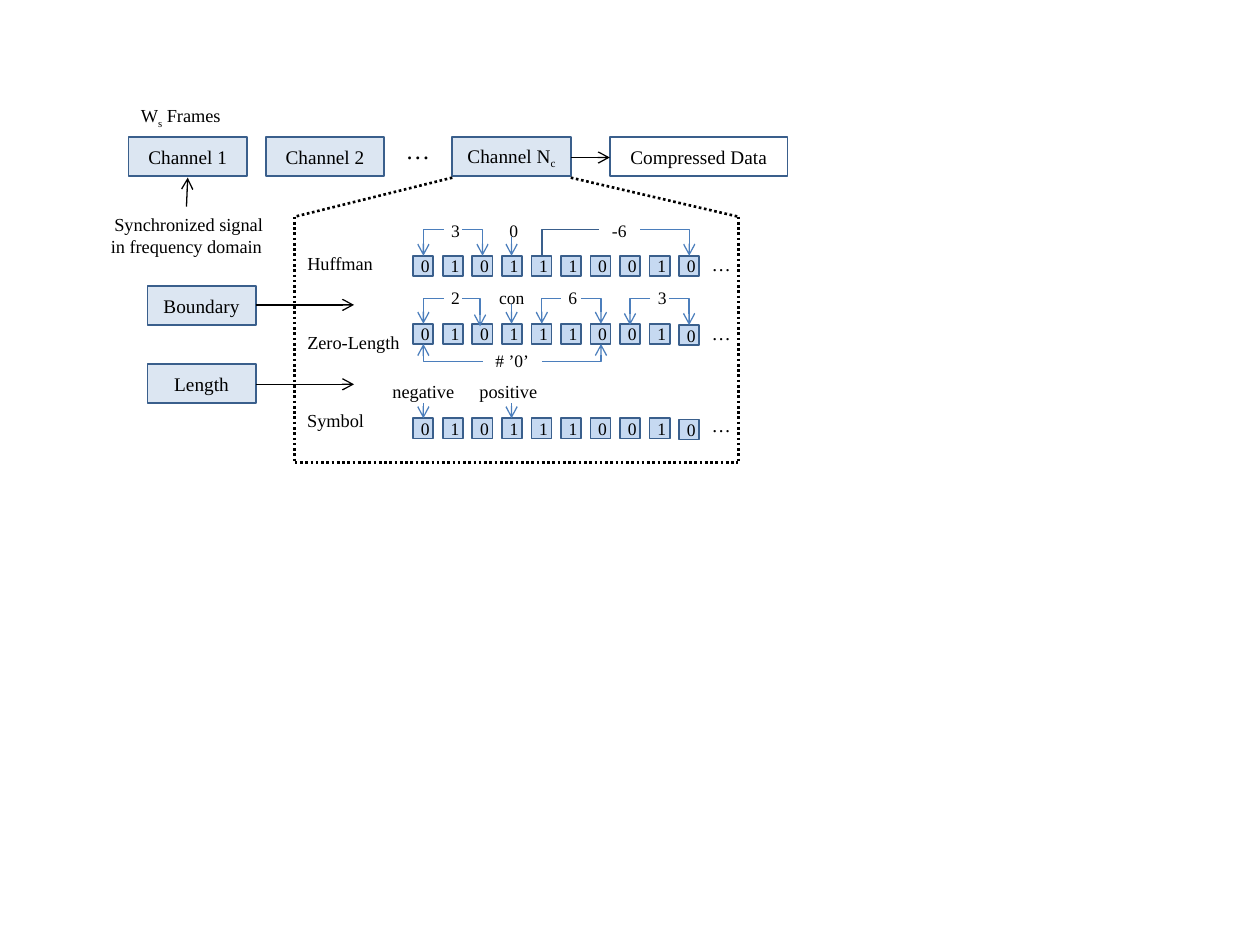
"""Build a slide on channel compression with Huffman, zero-length and symbol bit rows."""
import pptx
import pptx.util
import pptx.dml.color
import pptx.enum.dml
import pptx.enum.shapes
import pptx.enum.text
import pptx.oxml.ns
import lxml.etree

Inches = pptx.util.Inches
Pt = pptx.util.Pt
RGBColor = pptx.dml.color.RGBColor
ALIGN = pptx.enum.text.PP_ALIGN
qn = pptx.oxml.ns.qn

BLACK = RGBColor(0x00, 0x00, 0x00)
BORDER = RGBColor(0x3A, 0x5F, 0x8C)
LINK = RGBColor(0x4B, 0x7E, 0xBC)
PALE = RGBColor(0xDC, 0xE6, 0xF2)
CELL = RGBColor(0xC6, 0xD9, 0xF1)
FONT = "Times New Roman"

# Every second part of a label is a subscript.
BOXES = [
    (("Channel 1",), 1.02, 1.09, 0.94, PALE),
    (("Channel 2",), 2.11, 1.09, 0.94, PALE),
    (("Channel N", "c"), 3.59, 1.09, 0.94, PALE),
    (("Compressed Data",), 4.84, 1.09, 1.41, None),
    (("Boundary",), 1.17, 2.27, 0.86, PALE),
    (("Length",), 1.17, 2.89, 0.86, PALE),
]
BOX_HEIGHT = 0.31

BITS = "0101110010"
BIT_ROWS = [(2.03, 2.03), (2.57, 2.58), (3.32, 3.33)]
BIT_LEFT, BIT_LAST, BIT_SIZE = 3.28, 5.39, 0.16
BIT_STEP = (BIT_LAST - BIT_LEFT) / (len(BITS) - 1)

LEFT_LABELS = [
    (("W", "s", " Frames"), 1.02, 0.78, 0.94, 0.28, 10.5, True),
    (("…",), 3.12, 1.02, 0.39, 0.34, 14, True),
    (("Huffman",), 2.34, 1.95, 0.75, 0.28, 10.5, False),
    (("Zero-Length",), 2.34, 2.58, 0.98, 0.28, 10.5, False),
    (("Symbol",), 2.34, 3.2, 0.67, 0.28, 10.5, False),
    ((" 0",), 3.91, 1.7, 0.39, 0.28, 10, True),
    ((" con",), 3.83, 2.23, 0.47, 0.28, 10, True),
]
CENTER_LABELS = [
    ((" Synchronized signal in frequency domain",), 0.7, 1.64, 1.56, 0.45, 10.5, True),
    (("3",), 3.52, 1.7, 0.16, 0.28, 10, True),
    (("-6",), 4.75, 1.7, 0.33, 0.27, 10, False),
    (("2",), 3.52, 2.23, 0.16, 0.28, 10, True),
    (("6",), 4.45, 2.23, 0.16, 0.28, 10, True),
    (("3",), 5.16, 2.23, 0.16, 0.28, 10, True),
    (("# ’0’",), 3.83, 2.73, 0.47, 0.28, 10, True),
    (("negative",), 2.97, 2.97, 0.78, 0.28, 10.5, True),
    (("positive",), 3.67, 2.97, 0.73, 0.28, 10.5, True),
] + [(("…",), 5.55, top, 0.23, 0.29, 11, True) for top in (1.95, 2.5, 3.23)]

FLOW_ARROWS = [
    (1.48, 1.64, 1.49, 1.41), (4.53, 1.25, 4.84, 1.25),
    (2.03, 2.42, 2.81, 2.42), (2.03, 3.05, 2.81, 3.05),
]
BIT_ARROWS = [
    (4.06, 1.88, 4.06, 2.03), (4.06, 2.41, 4.06, 2.57),
    (3.36, 3.2, 3.36, 3.32), (4.06, 3.2, 4.06, 3.32),
]
BRACKETS = [
    (3.52, 1.82, 3.36, 2.03), (3.67, 1.82, 3.83, 2.03), (5.08, 1.82, 5.47, 2.03),
    (3.52, 2.37, 3.36, 2.57), (3.67, 2.37, 3.81, 2.59),
    (4.45, 2.37, 4.3, 2.57), (4.61, 2.37, 4.77, 2.57),
    (5.16, 2.37, 5, 2.58), (5.31, 2.37, 5.47, 2.58),
    (3.83, 2.87, 3.36, 2.73), (4.3, 2.87, 4.77, 2.73),
]
PLAIN_BRACKET = (4.75, 1.82, 4.3, 2.03)
FRAME = [
    (3.59, 1.41, 2.34, 1.72), (4.53, 1.41, 5.86, 1.72),
    (2.34, 1.72, 2.34, 3.67), (5.86, 1.72, 5.86, 3.67), (2.34, 3.67, 5.86, 3.67),
]


def write(tf, parts, size, align):
    p = tf.paragraphs[0]
    p.alignment = align
    for i, part in enumerate(parts):
        r = p.add_run()
        r.text = part
        r.font.name, r.font.size = FONT, Pt(size)
        r.font.color.rgb = BLACK
        if i % 2:
            r.font._element.set("baseline", "-25000")


def add_box(shapes, parts, left, top, width, height, fill, size):
    sp = shapes.add_shape(pptx.enum.shapes.MSO_SHAPE.RECTANGLE,
                          *map(Inches, (left, top, width, height)))
    sp.shadow.inherit = False
    if fill is None:
        sp.fill.background()
    else:
        sp.fill.solid()
        sp.fill.fore_color.rgb = fill
    sp.line.color.rgb, sp.line.width = BORDER, Pt(1)
    sp.text_frame.vertical_anchor = pptx.enum.text.MSO_ANCHOR.MIDDLE
    write(sp.text_frame, parts, size, ALIGN.CENTER)


def add_label(shapes, parts, left, top, width, height, size, wrap, align):
    tf = shapes.add_textbox(*map(Inches, (left, top, width, height))).text_frame
    tf.word_wrap = wrap
    tf.auto_size = pptx.enum.text.MSO_AUTO_SIZE.SHAPE_TO_FIT_TEXT
    write(tf, parts, size, align)


def add_line(shapes, ends, color, width, arrow=True, bent=False, dash=None):
    cx = shapes.add_connector(pptx.enum.shapes.MSO_CONNECTOR.STRAIGHT, *map(Inches, ends))
    cx.line.color.rgb, cx.line.width = color, Pt(width)
    if dash:
        cx.line.dash_style = dash
    spPr = cx._element.spPr
    if arrow:
        lxml.etree.SubElement(spPr.find(qn("a:ln")), qn("a:tailEnd"), type="arrow")
    lxml.etree.SubElement(spPr, qn("a:effectLst"))
    if bent:
        spPr.find(qn("a:prstGeom")).set("prst", "bentConnector2")
        xfrm = spPr.find(qn("a:xfrm"))
        if xfrm.flipH:
            xfrm.set("rot", "10800000")
            xfrm.flipH, xfrm.flipV = False, not xfrm.flipV


def main():
    prs = pptx.Presentation()
    prs.slide_width, prs.slide_height = Inches(10), Inches(7.5)
    shapes = prs.slides.add_slide(prs.slide_layouts[6]).shapes

    for parts, left, top, width, fill in BOXES:
        add_box(shapes, parts, left, top, width, BOX_HEIGHT, fill, 11)
    for top, last_top in BIT_ROWS:
        for i, bit in enumerate(BITS):
            y = last_top if i == len(BITS) - 1 else top
            add_box(shapes, (bit,), BIT_LEFT + i * BIT_STEP, y, BIT_SIZE, BIT_SIZE, CELL, 10)

    for ends in BRACKETS:
        add_line(shapes, ends, LINK, 0.75, bent=True)
    add_line(shapes, PLAIN_BRACKET, BORDER, 1, arrow=False, bent=True)
    for ends in BIT_ARROWS:
        add_line(shapes, ends, LINK, 0.75)
    for ends in FRAME:
        add_line(shapes, ends, BLACK, 1.5, arrow=False,
                 dash=pptx.enum.dml.MSO_LINE.ROUND_DOT)
    for ends in FLOW_ARROWS:
        add_line(shapes, ends, BLACK, 0.75)

    for labels, align in ((LEFT_LABELS, ALIGN.LEFT), (CENTER_LABELS, ALIGN.CENTER)):
        for label in labels:
            add_label(shapes, *label, align)

    prs.save("out.pptx")


if __name__ == "__main__":
    main()
